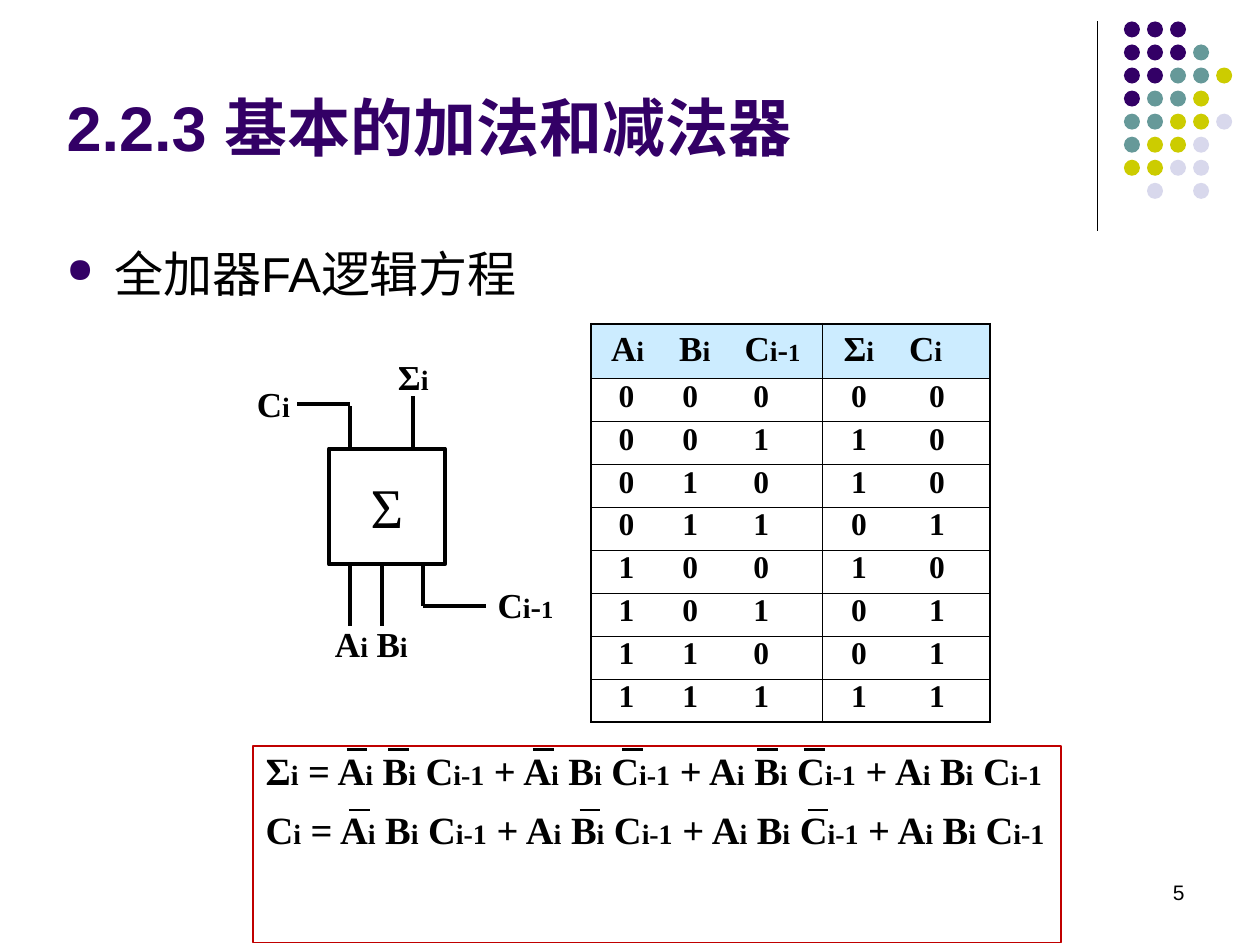
import itertools

import lxml.etree
import pptx
import pptx.dml.color
import pptx.enum.shapes
import pptx.enum.text
import pptx.oxml
import pptx.oxml.ns
import pptx.util

THEME = {
    "purple": "330066", "teal": "669999", "lime": "CCCC00", "lilac": "D8D8EC",
    "black": "000000", "header": "CCECFF", "frame": "C00000",
    "sans": "Arial", "serif": "Times New Roman",
    "title": 36, "body": 28, "symbol": 32, "digit": 18, "number": 12,
    "label": (20, 16, 18, 14), "equation": (22, 16),
    "inputs": (20, 16, 20, 16, 20, 16, 18, 14), "outputs": (20, 16, 20, 16),
}
COLUMNS = 100  # square grid cells across the slide, 75 down
RGB = pptx.dml.color.RGBColor.from_string
ALIGN = pptx.enum.text.PP_ALIGN
ANCHOR = pptx.enum.text.MSO_ANCHOR
SHAPE = pptx.enum.shapes.MSO_SHAPE

deck = pptx.Presentation()
deck.slide_width = pptx.util.Inches(10)
deck.slide_height = pptx.util.Inches(7.5)
page = deck.slides.add_slide(deck.slide_layouts[6])


def grid(*cells):
    """Turn grid cells into slide lengths."""
    return [round(deck.slide_width * cell / COLUMNS) for cell in cells]


def write(para, text, sizes, font=THEME["serif"], color=THEME["black"], bold=True):
    """Add the parts of text between bars as runs, with the sizes in turn."""
    for part, size in zip(text.split("|"), itertools.cycle(sizes)):
        if part:
            span = para.add_run()
            span.text = part
            span.font.size = pptx.util.Pt(size)
            span.font.name = font
            span.font.bold = bold
            span.font.color.rgb = RGB(color)


# Corner dots
dot_colors = {"P": "purple", "T": "teal", "Y": "lime", "L": "lilac"}
dot_rows = ["PPP", "PPPT", "PPTTY", "PTTY", "TTYYL", "TYYL", "YYLL", " L L"]
DOT, PITCH = 1.27, 1.83
for row, pattern in enumerate(dot_rows):
    for column, key in enumerate(pattern):
        if key in dot_colors:
            dot = page.shapes.add_shape(
                SHAPE.OVAL, *grid(89.2 + column * PITCH, 1.7 + row * PITCH, DOT, DOT))
            dot.shadow.inherit = False
            dot.fill.solid()
            dot.fill.fore_color.rgb = RGB(THEME[dot_colors[key]])
            dot.line.fill.background()

# Title, bullet line and page number
texts = [
    ((4.3, 2.9, 82.5, 14.2), "2.2.3 基本的加法和减法器", "title", "purple", True, ANCHOR.MIDDLE, ALIGN.LEFT),
    ((4.3, 18.8, 90, 48.2), "全加器FA逻辑方程", "body", "black", False, ANCHOR.TOP, ALIGN.LEFT),
    ((71.7, 68.3, 23.3, 5), "5", "number", "black", False, ANCHOR.MIDDLE, ALIGN.RIGHT),
]
for area, text, role, color, bold, anchor, align in texts:
    box = page.shapes.add_textbox(*grid(*area))
    box.text_frame.word_wrap = True
    box.text_frame.vertical_anchor = anchor
    para = box.text_frame.paragraphs[0]
    para.alignment = align
    if role == "body":
        indent = grid(3.8)[0]
        properties = para._p.get_or_add_pPr()
        properties.set("marL", str(indent))
        properties.set("indent", str(-indent))
        namespace = pptx.oxml.ns.nsdecls("a")
        for bullet in (f'<a:buClr {namespace}><a:srgbClr val="{THEME["purple"]}"/></a:buClr>',
                       f'<a:buSzPct {namespace} val="70000"/>',
                       f'<a:buChar {namespace} char="●"/>'):
            properties.append(pptx.oxml.parse_xml(bullet))
    write(para, text, [THEME[role]], THEME["sans"], THEME[color], bold)

# Adder block and equation frame
frames = []
for area, color, weight in [((26.1, 35.6, 9.2, 9.2), "black", 2.25),
                            ((20.1, 59.2, 64.1, 15.6), "frame", 1)]:
    frame = page.shapes.add_shape(SHAPE.RECTANGLE, *grid(*area))
    frame.shadow.inherit = False
    frame.fill.background()
    frame.line.color.rgb = RGB(THEME[color])
    frame.line.width = pptx.util.Pt(weight)
    frames.append(frame)
adder, equations = frames
adder.text_frame.word_wrap = False
adder.text_frame.vertical_anchor = ANCHOR.MIDDLE
adder.text_frame.paragraphs[0].alignment = ALIGN.CENTER
write(adder.text_frame.paragraphs[0], "Σ", [THEME["symbol"]], bold=False)

# Equations: each is a sum of four products
equations.text_frame.word_wrap = True
equations.text_frame.vertical_anchor = ANCHOR.TOP
products = " + ".join(["A|i| B|i| C|i-1|"] * 4)
first = equations.text_frame.paragraphs[0]
second = equations.text_frame.add_paragraph()
second.space_before = pptx.util.Pt(10)
for para, output in [(first, "Σ"), (second, "C")]:
    para.alignment = ALIGN.LEFT
    para.line_spacing = 0.9
    write(para, f"{output}|i| = {products}", THEME["equation"])

# Pin labels
labels = [((19.4, 29.9, 5, 4.4), "C|i"), ((30.6, 27.7, 7.2, 4.4), "Σ|i"),
          ((25.6, 48.9, 5.5, 4.4), "A|i"), ((28.9, 48.9, 5.5, 4.4), "B|i"),
          ((38.5, 45.8, 6.8, 4.4), "C|i|-|1")]
for area, text in labels:
    box = page.shapes.add_textbox(*grid(*area))
    box.text_frame.word_wrap = True
    write(box.text_frame.paragraphs[0], text, THEME["label"])

# Divider, adder pins and the bars over negated variables
lines = [(87.1, 1.7, 87.1, 18.3, 0.75)]
lines += [(*ends, 2.25) for ends in [
    (27.8, 35.6, 27.8, 32.2), (27.8, 32.1, 23.6, 32.1), (32.8, 35.6, 32.8, 31.4),
    (27.8, 44.7, 27.8, 49.7), (30.3, 44.7, 30.3, 49.7),
    (33.6, 44.7, 33.6, 48.1), (33.6, 48.1, 38.6, 48.1)]]
for height, starts in [(59.5, (27.5, 30.8, 42.3, 49.4, 60.1, 63.8)),
                       (64.3, (27.7, 46, 64.1))]:
    lines += [(start, height, start + 1.65, height, 1.5) for start in starts]
for *ends, weight in lines:
    line = page.shapes.add_connector(
        pptx.enum.shapes.MSO_CONNECTOR.STRAIGHT, *grid(*ends))
    line.line.color.rgb = RGB(THEME["black"])
    line.line.width = pptx.util.Pt(weight)
    lxml.etree.SubElement(line._element.spPr, pptx.oxml.ns.qn("a:effectLst"))

# Truth table: tab stops keep the variables in columns
rows = [("A|i\t|B|i\t|C|i|-|1", "Σ|i\t|C|i")]
for a, b, c in itertools.product((0, 1), repeat=3):
    total = a + b + c
    rows.append((f"{a}\t{b}\t{c}", f"{total % 2}\t{total // 2}"))
header_style = [(1.6, (5.4, 10.6)), (1.7, (5.2,))]
digit_style = [(2.2, (5.05, 10.7)), (2.3, (6.2,))]
table = page.shapes.add_table(len(rows), 2, *grid(46.9, 25.7, 31.7, 31.6)).table
table.first_row = table.horz_banding = False
for column, width in zip(table.columns, grid(18.35, 13.35)):
    column.width = width
for index, texts_in_row in enumerate(rows):
    is_header = index == 0
    table.rows[index].height = grid(4.3 if is_header else 3.41)[0]
    for side, text in enumerate(texts_in_row):
        cell = table.cell(index, side)
        inset, stops = (header_style if is_header else digit_style)[side]
        cell.margin_left, cell.margin_right = grid(inset, 0.5)
        para = cell.text_frame.paragraphs[0]
        properties = para._p.get_or_add_pPr()
        if not is_header:
            para.line_spacing = 0.8
        tabs = lxml.etree.SubElement(properties, pptx.oxml.ns.qn("a:tabLst"))
        for stop in grid(*stops):
            lxml.etree.SubElement(tabs, pptx.oxml.ns.qn("a:tab"), pos=str(stop), algn="l")
        header_sizes = THEME["outputs"] if side else THEME["inputs"]
        write(para, text, header_sizes if is_header else [THEME["digit"]])
        # Thick outer edges, thin inner ones; borders go before the fill
        outer = {"L": side == 0, "R": side == 1, "T": is_header, "B": index == len(rows) - 1}
        for edge, is_outer in outer.items():
            weight = pptx.util.Pt(1.08 if is_outer else 0.45)
            border = lxml.etree.SubElement(
                cell._tc.get_or_add_tcPr(), pptx.oxml.ns.qn(f"a:ln{edge}"), w=str(weight))
            solid = lxml.etree.SubElement(border, pptx.oxml.ns.qn("a:solidFill"))
            lxml.etree.SubElement(solid, pptx.oxml.ns.qn("a:srgbClr"), val=THEME["black"])
        if is_header:
            cell.fill.solid()
            cell.fill.fore_color.rgb = RGB(THEME["header"])
        else:
            cell.fill.background()

deck.save("out.pptx")
